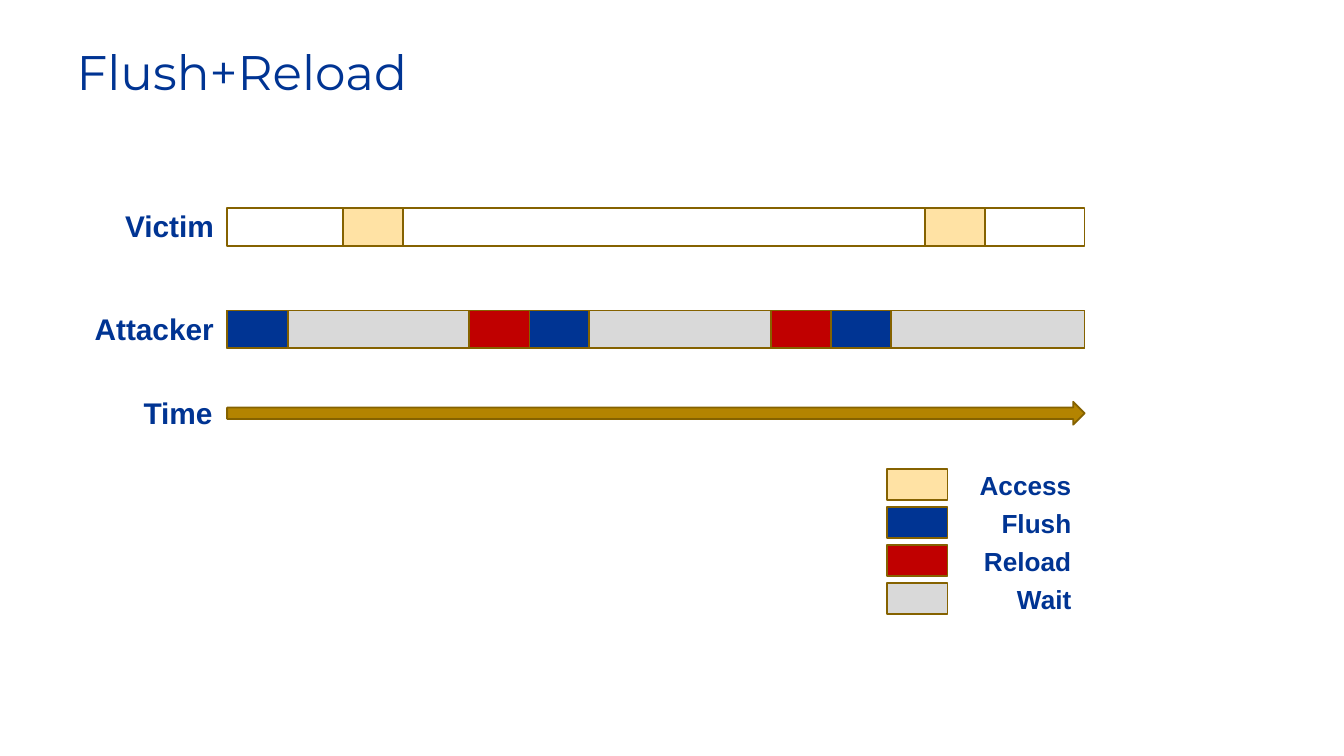
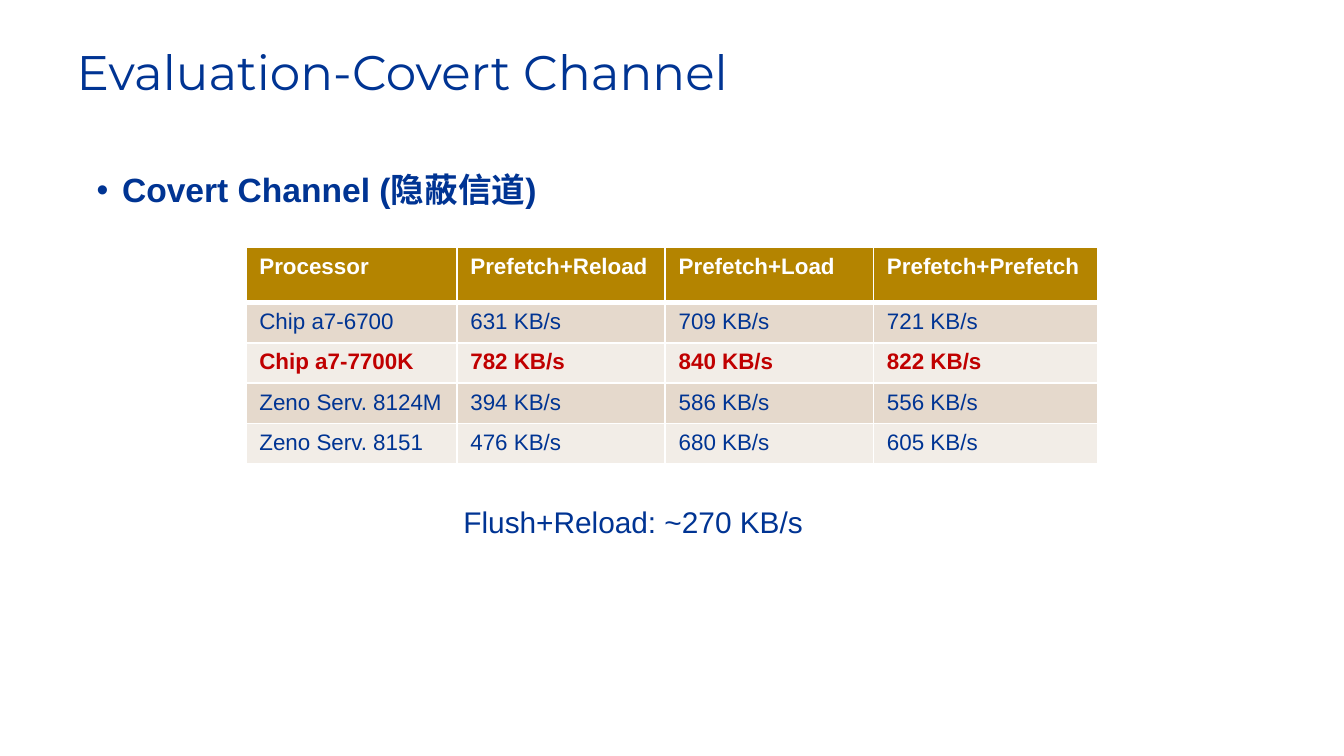
import pptx
import pptx.util
import pptx.dml.color
import pptx.enum.shapes
import pptx.enum.text
import pptx.oxml.ns
import lxml.etree

Inches, Pt = pptx.util.Inches, pptx.util.Pt
RGBColor = pptx.dml.color.RGBColor
MSO_SHAPE = pptx.enum.shapes.MSO_SHAPE
PP_ALIGN = pptx.enum.text.PP_ALIGN
qn = pptx.oxml.ns.qn

# Colours and fonts
NAVY = RGBColor(0x00, 0x34, 0x93)
RED = RGBColor(0xC0, 0x00, 0x00)
CREAM = RGBColor(0xFF, 0xE2, 0xA4)
GREY = RGBColor(0xD9, 0xD9, 0xD9)
GOLD = RGBColor(0xB4, 0x84, 0x00)
BROWN = RGBColor(0x85, 0x62, 0x00)
WHITE = RGBColor(0xFF, 0xFF, 0xFF)
BANDS = (RGBColor(0xE5, 0xD9, 0xCC), RGBColor(0xF2, 0xED, 0xE7))
BODY_FONT, TITLE_FONT = "Arial", "Montserrat"

# Timeline content: segments are (action, left, width)
ACTIONS = {"Access": CREAM, "Flush": NAVY, "Reload": RED, "Wait": GREY}
LEFT, RIGHT, BAR_H, SLOT = 1.69, 8.07, 0.28, 0.45
TRACKS = [
    ("Victim", 1.55, 1.05, [("Access", 2.55, SLOT), ("Access", 6.88, SLOT)]),
    ("Attacker", 2.31, 1.16, [
        ("Flush", 1.69, SLOT), ("Wait", 2.14, 1.36), ("Reload", 3.49, SLOT),
        ("Flush", 3.94, SLOT), ("Wait", 4.38, 1.36), ("Wait", 6.29, 1.78),
        ("Reload", 5.74, SLOT), ("Flush", 6.18, SLOT)]),
]
LEGEND_WIDTHS = {"Access": 1.07, "Flush": 0.85, "Reload": 0.96, "Wait": 0.96}
LEGEND_LEFT, LEGEND_TOP, LEGEND_LAST = 6.6, 3.49, 4.34

# Table content
HEADER = ["Processor", "Prefetch+Reload", "Prefetch+Load", "Prefetch+Prefetch"]
RATES = [
    ("Chip a7-6700", 631, 709, 721),
    ("Chip a7-7700K", 782, 840, 822),
    ("Zeno Serv. 8124M", 394, 586, 556),
    ("Zeno Serv. 8151", 476, 680, 605),
]
BEST_ROW = 2
COL_WIDTHS = [1.57, 1.55, 1.55, 1.67]
ROW_HEIGHTS = [0.41] + [0.3] * len(RATES)


def write(tf, text, size=16, color=NAVY, bold=False, font=BODY_FONT,
          align=PP_ALIGN.LEFT, spacing=None):
    """Put one formatted paragraph into a text frame and return it."""
    p = tf.paragraphs[0]
    p.alignment = align
    if spacing:
        p.line_spacing = spacing
    r = p.add_run()
    r.text = text
    r.font.name, r.font.size, r.font.bold = font, Pt(size), bold
    r.font.color.rgb = color
    return p


def add_text(s, left, top, width, height, text, **fmt):
    tf = s.shapes.add_textbox(Inches(left), Inches(top),
                              Inches(width), Inches(height)).text_frame
    tf.word_wrap = True
    return write(tf, text, **fmt)


def add_block(s, left, top, width, height, fill=None, kind=MSO_SHAPE.RECTANGLE):
    sp = s.shapes.add_shape(kind, Inches(left), Inches(top),
                            Inches(width), Inches(height))
    sp.shadow.inherit = False
    if fill is None:
        sp.fill.background()
    else:
        sp.fill.solid()
        sp.fill.fore_color.rgb = fill
    sp.line.color.rgb = BROWN
    sp.line.width = Pt(1)


def add_slide(prs, title):
    s = prs.slides.add_slide(prs.slide_layouts[5])
    sp = s.shapes.title
    sp.left, sp.top = Inches(0.47), Inches(0.31)
    sp.width, sp.height = Inches(8.62), Inches(0.59)
    tf = sp.text_frame
    tf.auto_size = pptx.enum.text.MSO_AUTO_SIZE.NONE
    tf.vertical_anchor = pptx.enum.text.MSO_ANCHOR.TOP
    write(tf, title, size=26, font=TITLE_FONT, spacing=0.9)
    return s


def add_bullet(p, indent):
    pPr = p._p.get_or_add_pPr()
    pPr.set("marL", str(Inches(indent)))
    pPr.set("indent", str(-Inches(indent)))
    lxml.etree.SubElement(pPr, qn("a:buFont")).set("typeface", BODY_FONT)
    lxml.etree.SubElement(pPr, qn("a:buChar")).set("char", "•")


def set_borders(cell, bottom):
    tcPr = cell._tc.get_or_add_tcPr()
    widths = {"a:lnL": 1, "a:lnR": 1, "a:lnT": 1, "a:lnB": bottom}
    for i, (tag, width) in enumerate(widths.items()):
        ln = lxml.etree.Element(qn(tag), w=str(Pt(width)))
        fill = lxml.etree.SubElement(ln, qn("a:solidFill"))
        lxml.etree.SubElement(fill, qn("a:srgbClr")).set("val", str(WHITE))
        tcPr.insert(i, ln)


def build_timeline(prs):
    s = add_slide(prs, "Flush+Reload")
    label = dict(bold=True, align=PP_ALIGN.RIGHT)

    # Victim and attacker tracks
    for name, top, width, segments in TRACKS:
        add_block(s, LEFT, top, RIGHT - LEFT, BAR_H)
        for action, left, seg_width in segments:
            add_block(s, left, top, seg_width, BAR_H, ACTIONS[action])
        add_text(s, LEFT - width, top - 0.05, width, 0.37, name, **label)

    # Time arrow
    add_block(s, LEFT, 2.99, RIGHT - LEFT, 0.17, GOLD, MSO_SHAPE.RIGHT_ARROW)
    add_text(s, 0.52, 2.89, 1.16, 0.37, "Time", **label)

    # Legend
    step = (LEGEND_LAST - LEGEND_TOP) / (len(ACTIONS) - 1)
    for i, (action, color) in enumerate(ACTIONS.items()):
        top, width = LEGEND_TOP + i * step, LEGEND_WIDTHS[action]
        add_block(s, LEGEND_LEFT, top, SLOT, 0.23, color)
        add_text(s, RIGHT - width, top - 0.05, width, 0.34, action,
                 size=14, **label)


def build_evaluation(prs):
    s = add_slide(prs, "Evaluation-Covert Channel")
    p = add_text(s, 0.62, 1.24, 8.73, 0.46, "Covert Channel (隐蔽信道)",
                 size=18, bold=True, spacing=0.9)
    p.space_before = Pt(7.5)
    add_bullet(p, 0.19)

    # Transfer rates
    rows = [HEADER] + [[name] + [f"{rate} KB/s" for rate in rates]
                       for name, *rates in RATES]
    table = s.shapes.add_table(
        len(rows), len(HEADER), Inches(1.83), Inches(1.84),
        Inches(sum(COL_WIDTHS)), Inches(sum(ROW_HEIGHTS))).table
    for column, width in zip(table.columns, COL_WIDTHS):
        column.width = Inches(width)
    for i, (row, height) in enumerate(zip(rows, ROW_HEIGHTS)):
        table.rows[i].height = Inches(height)
        if i == 0:
            fill, color = GOLD, WHITE
        else:
            fill, color = BANDS[(i - 1) % 2], RED if i == BEST_ROW else NAVY
        for j, text in enumerate(row):
            cell = table.cell(i, j)
            cell.fill.solid()
            cell.fill.fore_color.rgb = fill
            set_borders(cell, bottom=3 if i == 0 else 1)
            write(cell.text_frame, text, size=12, color=color,
                  bold=i in (0, BEST_ROW))

    # Baseline for comparison
    add_text(s, 3.35, 3.7, 3.28, 0.64, "Flush+Reload: ~270 KB/s")


def main():
    prs = pptx.Presentation()
    prs.slide_width = Inches(10)
    prs.slide_height = prs.slide_width * 9 // 16
    build_timeline(prs)
    build_evaluation(prs)
    prs.save("out.pptx")


if __name__ == "__main__":
    main()
